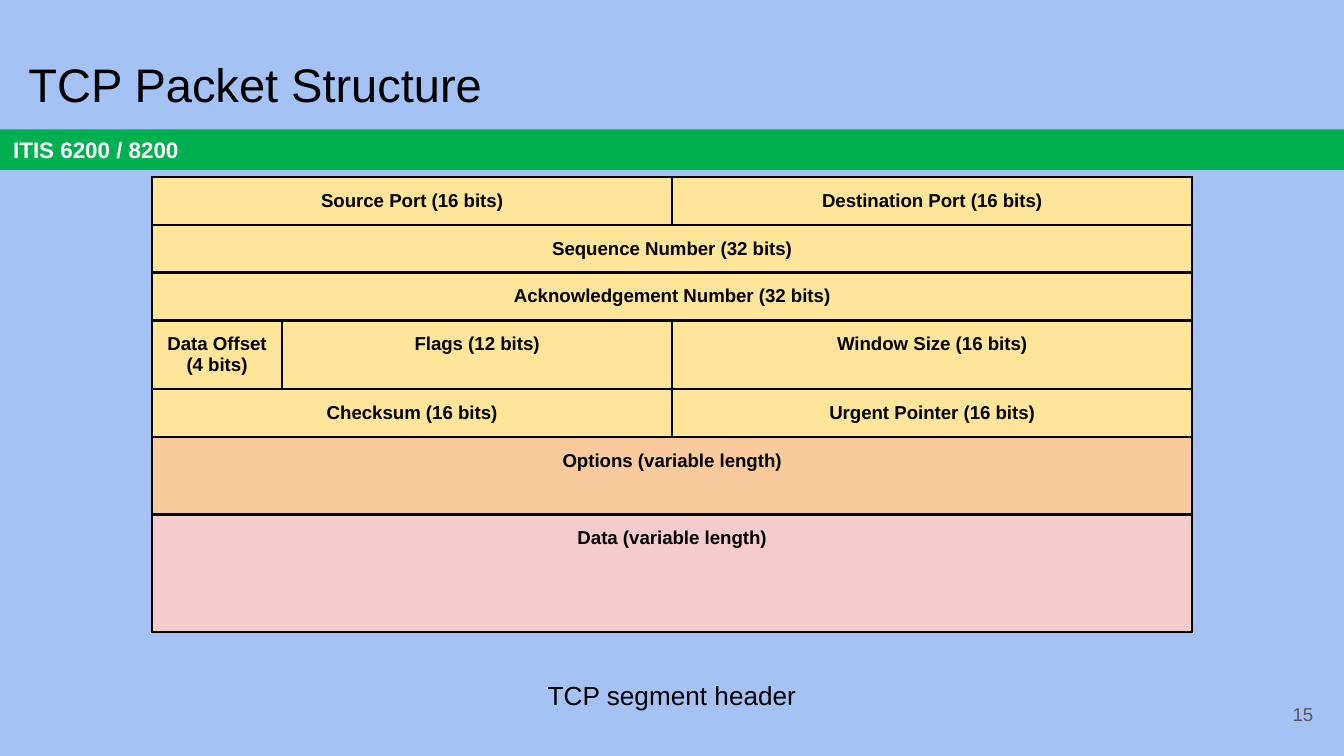
"""Build the TCP packet structure slide with its header table."""
from lxml.etree import SubElement
from pptx import Presentation
from pptx.dml.color import RGBColor
from pptx.enum.shapes import MSO_SHAPE as Shape
from pptx.enum.text import MSO_ANCHOR as Anchor, PP_ALIGN as Align
from pptx.oxml.ns import qn
from pptx.util import Pt

BACKGROUND = RGBColor(0xA4, 0xC2, 0xF4)
GREEN = RGBColor(0x00, 0xB0, 0x50)
YELLOW = RGBColor(0xFF, 0xE5, 0x99)
ORANGE = RGBColor(0xF9, 0xCB, 0x9C)
PINK = RGBColor(0xF4, 0xCC, 0xCC)
GRAY = RGBColor(0x59, 0x59, 0x59)
BLACK = RGBColor(0, 0, 0)
WHITE = RGBColor(0xFF, 0xFF, 0xFF)

COLUMNS = 8
COLUMN_WIDTH = 69.66
PADDING = Pt(7.2)
ROWS = [
    (25.5, YELLOW, [("Source Port (16 bits)", 4), ("Destination Port (16 bits)", 4)]),
    (25.5, YELLOW, [("Sequence Number (32 bits)", 8)]),
    (25.5, YELLOW, [("Acknowledgement Number (32 bits)", 8)]),
    (36.5, YELLOW, [("Data Offset (4 bits)", 1), ("Flags (12 bits)", 3), ("Window Size (16 bits)", 4)]),
    (25.5, YELLOW, [("Checksum (16 bits)", 4), ("Urgent Pointer (16 bits)", 4)]),
    (41.5, ORANGE, [("Options (variable length)", 8)]),
    (63, PINK, [("Data (variable length)", 8)]),
]


def write(frame, text, size, color, align=Align.LEFT, bold=False):
    frame.word_wrap = True
    frame.margin_left = frame.margin_right = PADDING
    frame.margin_top = frame.margin_bottom = PADDING
    paragraph = frame.paragraphs[0]
    paragraph.text = text
    paragraph.alignment = align
    font = paragraph.font
    font.name, font.size, font.bold = "Arial", Pt(size), bold
    font.color.rgb = color
    return paragraph


def add_borders(cell):
    properties = cell._tc.get_or_add_tcPr()
    for side in ("a:lnL", "a:lnR", "a:lnT", "a:lnB"):
        line = SubElement(properties, qn(side), w=str(Pt(1.5)))
        fill = SubElement(line, qn("a:solidFill"))
        SubElement(fill, qn("a:srgbClr"), val=str(BLACK))


presentation = Presentation()
presentation.slide_width, presentation.slide_height = Pt(720), Pt(405)
slide = presentation.slides.add_slide(presentation.slide_layouts[1])
slide.background.fill.solid()
slide.background.fill.fore_color.rgb = BACKGROUND

banner = slide.shapes.add_shape(Shape.RECTANGLE, 0, Pt(69.25), Pt(720), Pt(21.75))
banner.shadow.inherit = False
banner.fill.solid()
banner.fill.fore_color.rgb = GREEN
banner.line.fill.background()
write(banner.text_frame, "ITIS 6200 / 8200", 12, WHITE, bold=True)
banner.text_frame.vertical_anchor = Anchor.MIDDLE

title = slide.shapes.title
title.left, title.top, title.width, title.height = Pt(8), Pt(21.6), Pt(671), Pt(45.4)
write(title.text_frame, "TCP Packet Structure", 25.2, BLACK)
title.text_frame.vertical_anchor = Anchor.BOTTOM

caption = slide.placeholders[1]
caption.left, caption.top, caption.width, caption.height = Pt(40.3), Pt(355.7), Pt(639.4), Pt(45.4)
paragraph = write(caption.text_frame, "TCP segment header", 14, BLACK, Align.CENTER)
caption.text_frame.vertical_anchor = Anchor.TOP
paragraph.line_spacing = 1.05
paragraph.space_before, paragraph.space_after = Pt(0), Pt(12)
paragraph_properties = paragraph._p.get_or_add_pPr()
paragraph_properties.set("marL", "0")
paragraph_properties.set("indent", "0")
bullet = SubElement(paragraph_properties, qn("a:buNone"))
paragraph_properties.find(qn("a:defRPr")).addprevious(bullet)

table_height = sum(height for height, _, _ in ROWS)
table = slide.shapes.add_table(
    len(ROWS), COLUMNS, Pt(81.4), Pt(94.9), Pt(COLUMNS * COLUMN_WIDTH), Pt(table_height)
).table
table.first_row = table.horz_banding = False
for column in table.columns:
    column.width = Pt(COLUMN_WIDTH)
for row_index, (height, color, fields) in enumerate(ROWS):
    table.rows[row_index].height = Pt(height)
    for cell in table.rows[row_index].cells:
        add_borders(cell)
        cell.fill.solid()
        cell.fill.fore_color.rgb = color
    start = 0
    for text, span in fields:
        cell = table.cell(row_index, start)
        if span > 1:
            cell.merge(table.cell(row_index, start + span - 1))
        write(cell.text_frame, text, 10, BLACK, Align.CENTER, bold=True)
        cell.margin_left = cell.margin_right = PADDING
        cell.margin_top = cell.margin_bottom = PADDING
        start += span

number = slide.shapes.add_textbox(Pt(667.4), Pt(367.2), Pt(43.2), Pt(31))
write(number.text_frame, "15", 10, GRAY, Align.RIGHT)
number.text_frame.vertical_anchor = Anchor.MIDDLE

presentation.save("out.pptx")
